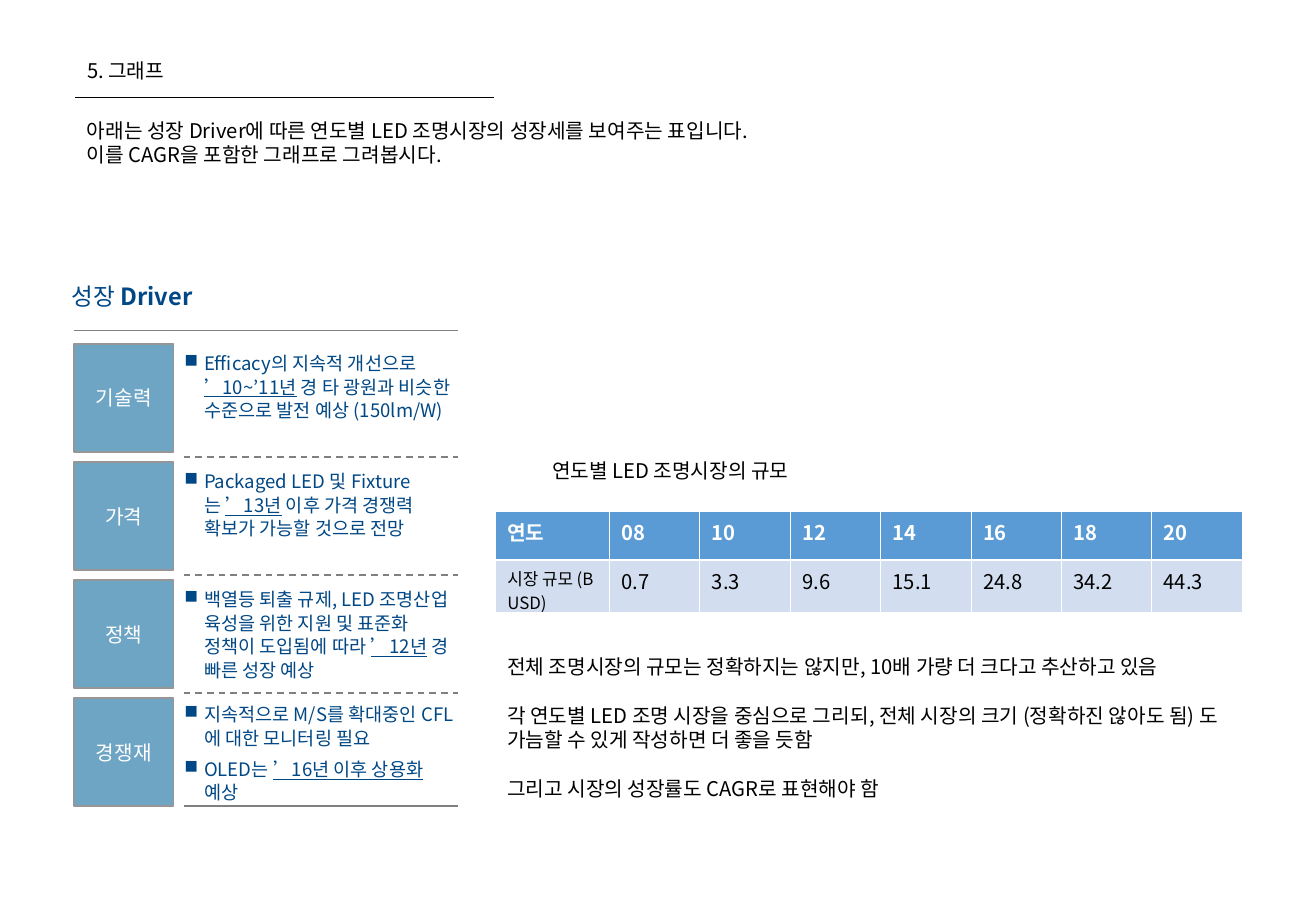
from lxml import etree
from pptx import Presentation
from pptx.dml.color import RGBColor
from pptx.enum.dml import MSO_LINE
from pptx.enum.shapes import MSO_CONNECTOR, MSO_SHAPE
from pptx.enum.text import MSO_ANCHOR, MSO_AUTO_SIZE, PP_ALIGN
from pptx.oxml.ns import qn
from pptx.util import Cm, Pt

FONT = "Noto Sans CJK KR"
BLACK = RGBColor(0x00, 0x00, 0x00)
WHITE = RGBColor(0xFF, 0xFF, 0xFF)
NAVY = RGBColor(0x00, 0x47, 0x85)
STEEL = RGBColor(0x6E, 0xA5, 0xC4)
EDGE = RGBColor(0x96, 0x96, 0x96)
GRAY = RGBColor(0x80, 0x80, 0x80)
HEAD = RGBColor(0x5B, 0x9B, 0xD5)
BODY = RGBColor(0xD2, 0xDE, 0xEF)
DASH = MSO_LINE.DASH
STRAIGHT = MSO_CONNECTOR.STRAIGHT
RECT = MSO_SHAPE.RECTANGLE
TOP, MIDDLE = MSO_ANCHOR.TOP, MSO_ANCHOR.MIDDLE
GROW, FIXED = MSO_AUTO_SIZE.SHAPE_TO_FIT_TEXT, MSO_AUTO_SIZE.NONE
LEFT, CENTER = PP_ALIGN.LEFT, PP_ALIGN.CENTER
PAD = (0.25, 0.13)


class Board:
    def __init__(self, deck):
        self.slide = deck.slides.add_slide(deck.slide_layouts[5])
        self.shapes = self.slide.shapes

    def run(self, para, text, size, color, bold=False, under=False):
        run = para.add_run()
        run.text = text
        font = run.font
        font.name, font.size, font.bold = FONT, Pt(size), bold
        font.underline = under
        font.color.rgb = color
        etree.SubElement(font._element, qn("a:ea"), typeface=FONT)

    def frame(self, shape, pad=PAD, wrap=True, anchor=TOP, fit=GROW):
        frame = shape.text_frame
        frame.margin_left = frame.margin_right = Cm(pad[0])
        frame.margin_top = frame.margin_bottom = Cm(pad[1])
        frame.word_wrap, frame.vertical_anchor = wrap, anchor
        frame.auto_size = fit
        return frame

    def paras(self, frame, count):
        yield frame.paragraphs[0]
        for _ in range(count - 1):
            yield frame.add_paragraph()

    def box(self, left, top, width, height):
        return self.shapes.add_textbox(Cm(left), Cm(top), Cm(width), Cm(height))

    def title(self, text, left, top, width, height):
        shape = self.shapes.title
        shape.left, shape.top = Cm(left), Cm(top)
        shape.width, shape.height = Cm(width), Cm(height)
        para = self.frame(shape).paragraphs[0]
        para.alignment = LEFT
        self.run(para, text, 12, BLACK)

    def text(self, lines, left, top, width, height, gap=0):
        frame = self.frame(self.box(left, top, width, height))
        for num, para in enumerate(self.paras(frame, len(lines))):
            para.space_before = Pt(gap if num else 0)
            self.run(para, lines[num], 12, BLACK)

    def label(self, parts, left, top, width, height):
        frame = self.frame(self.box(left, top, width, height), (0, 0), False)
        para = frame.paragraphs[0]
        para.space_before = Pt(3.5)
        for text, bold in parts:
            self.run(para, text, 14, NAVY, bold)

    def tile(self, text, left, top, width, height):
        shape = self.shapes.add_shape(RECT, Cm(left), Cm(top), Cm(width), Cm(height))
        shape.shadow.inherit = False
        shape.fill.solid()
        shape.fill.fore_color.rgb = STEEL
        shape.line.color.rgb = EDGE
        shape.line.width = Pt(1)
        para = self.frame(shape, (0, 0), False, MIDDLE, FIXED).paragraphs[0]
        para.alignment, para.space_before = CENTER, Pt(7.5)
        self.run(para, text, 12, WHITE)

    def bullets(self, items, left, top, width, height):
        frame = self.frame(self.box(left, top, width, height), (0, 0))
        for para, parts in zip(self.paras(frame, len(items)), items):
            para.level, para.line_spacing, para.space_after = 1, 1.05, Pt(4.8)
            props = para._p.get_or_add_pPr()
            props.set("marL", str(Cm(0.43)))
            props.set("indent", str(Cm(-0.41)))
            tint = etree.SubElement(props, qn("a:buClr"))
            etree.SubElement(tint, qn("a:srgbClr"), val=str(NAVY))
            etree.SubElement(props, qn("a:buChar"), char="■")
            for num, text in enumerate(parts):
                self.run(para, text, 11, NAVY, under=num == 1)

    def line(self, left, right, top, color=GRAY, width=1, dash=None):
        line = self.shapes.add_connector(STRAIGHT, Cm(left), Cm(top), Cm(right), Cm(top))
        line.line.color.rgb = color
        line.line.width = Pt(width)
        if dash:
            line.line.dash_style = dash
        etree.SubElement(line._element.spPr, qn("a:effectLst"))

    def cell(self, cell, text, size, color, fill, bold, sides):
        props = cell._tc.get_or_add_tcPr()
        for side, width in sides.items():
            edge = etree.SubElement(props, qn("a:ln" + side), w=str(Pt(width)))
            solid = etree.SubElement(edge, qn("a:solidFill"))
            etree.SubElement(solid, qn("a:srgbClr"), val=str(WHITE))
        cell.fill.solid()
        cell.fill.fore_color.rgb = fill
        self.run(cell.text_frame.paragraphs[0], text, size, color, bold)

    def table(self, rows, left, top, widths, heights):
        table = self.shapes.add_table(
            len(rows), len(widths), Cm(left), Cm(top), Cm(sum(widths)), Cm(sum(heights))
        ).table
        for col, width in zip(table.columns, widths):
            col.width = Cm(width)
        for row, height in zip(table.rows, heights):
            row.height = Cm(height)
        for y, row in enumerate(rows):
            head = y == 0
            sides = {"L": 0.45, "R": 0.45, "T": 0.45 if head else 1.47, "B": 1.47 if head else 0.45}
            for x, text in enumerate(row):
                size = 12 if head or x else 10
                color, fill = (WHITE, HEAD) if head else (BLACK, BODY)
                self.cell(table.cell(y, x), text, size, color, fill, head, sides)


DRIVERS = [
    ("기술력", 0.15, 1.47, [
        ["Efficacy의 지속적 개선으로 ", "’10~’11년", " 경 타 광원과 비슷한 수준으로 발전 예상 (150lm/W)"]]),
    ("가격", 0.15, 1.47, [
        ["Packaged LED 및 Fixture는 ", "’13년", " 이후 가격 경쟁력 확보가 가능할 것으로 전망"]]),
    ("정책", 0.15, 1.96, [
        ["백열등 퇴출 규제, LED 조명산업 육성을 위한 지원 및 표준화 정책이 도입됨에 따라 ",
         "’12년", " 경 빠른 성장 예상"]]),
    ("경쟁재", 0.08, 2.13, [
        ["지속적으로 M/S를 확대중인 CFL에 대한 모니터링 필요"],
        ["OLED는 ", "’16년 이후 상용화", " 예상"]]),
]
MARKET = [
    ["연도", "08", "10", "12", "14", "16", "18", "20"],
    ["시장 규모 (B USD)", "0.7", "3.3", "9.6", "15.1", "24.8", "34.2", "44.3"],
]
INTRO = [
    "아래는 성장 Driver에 따른 연도별 LED 조명시장의 성장세를 보여주는 표입니다.",
    "이를 CAGR을 포함한 그래프로 그려봅시다.",
]
NOTES = [
    "전체 조명시장의 규모는 정확하지는 않지만, 10배 가량 더 크다고 추산하고 있음",
    "각 연도별 LED 조명 시장을 중심으로 그리되, 전체 시장의 크기 (정확하진 않아도 됨) "
    "도 가늠할 수 있게 작성하면 더 좋을 듯함",
    "그리고 시장의 성장률도 CAGR로 표현해야 함",
]


def main():
    deck = Presentation()
    deck.slide_width, deck.slide_height = Cm(27.53), Cm(19.05)
    board = Board(deck)
    board.title("5. 그래프", 1.57, 1.09, 5.46, 0.76)
    board.line(1.57, 10.34, 2.03, BLACK, 0.5)
    board.text(INTRO, 1.57, 2.34, 24.16, 1.27)

    board.label([("성장 ", False), ("Driver", True)], 1.5, 5.89, 2.72, 0.58)
    board.line(1.55, 9.58, 6.91)
    for num, (name, drop, height, items) in enumerate(DRIVERS):
        top = 7.19 + 2.47 * num
        last = num == len(DRIVERS) - 1
        board.tile(name, 1.55, top, 2.08, 2.26)
        board.bullets(items, 3.84, top + drop, 5.74, height)
        board.line(3.84, 9.58, top + (2.26 if last else 2.36), dash=None if last else DASH)

    board.text(["연도별 LED 조명시장의 규모"], 11.3, 9.45, 7.24, 0.76)
    board.table(MARKET, 10.36, 10.69, [2.39] + [1.89] * 7, [1.02, 1.09])
    board.text(NOTES, 10.36, 13.56, 16, 3.3, 14.4)
    deck.save("out.pptx")


if __name__ == "__main__":
    main()
